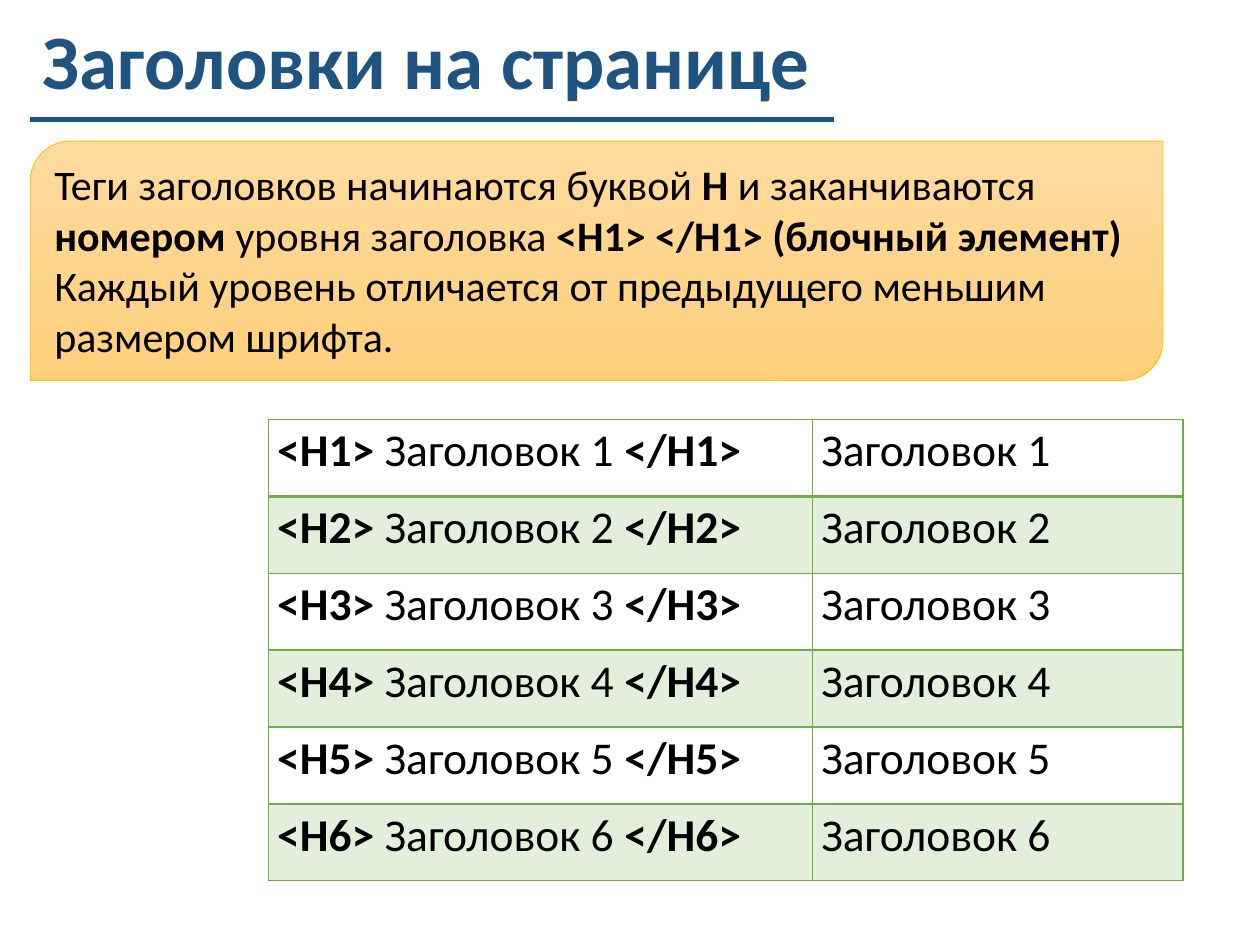
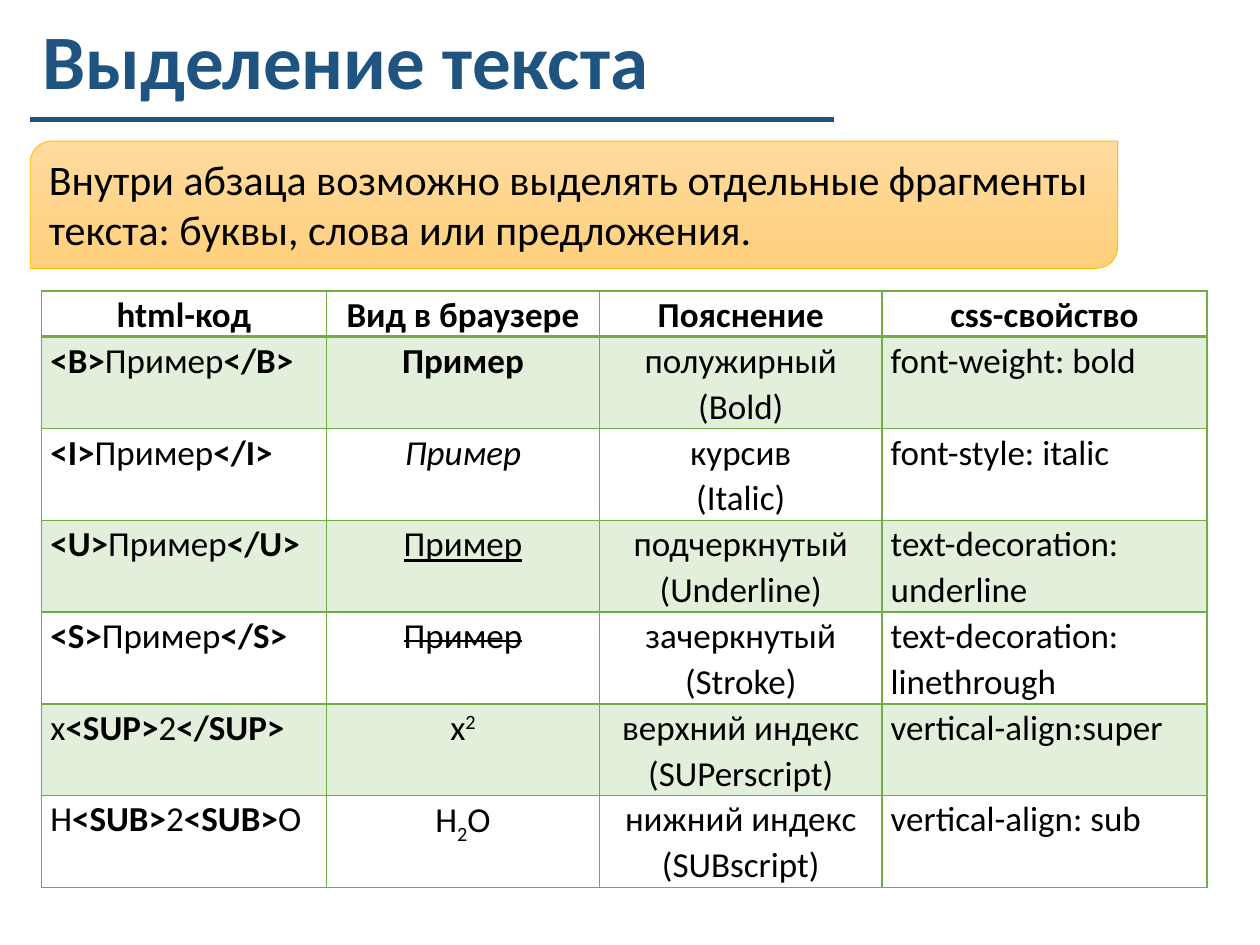
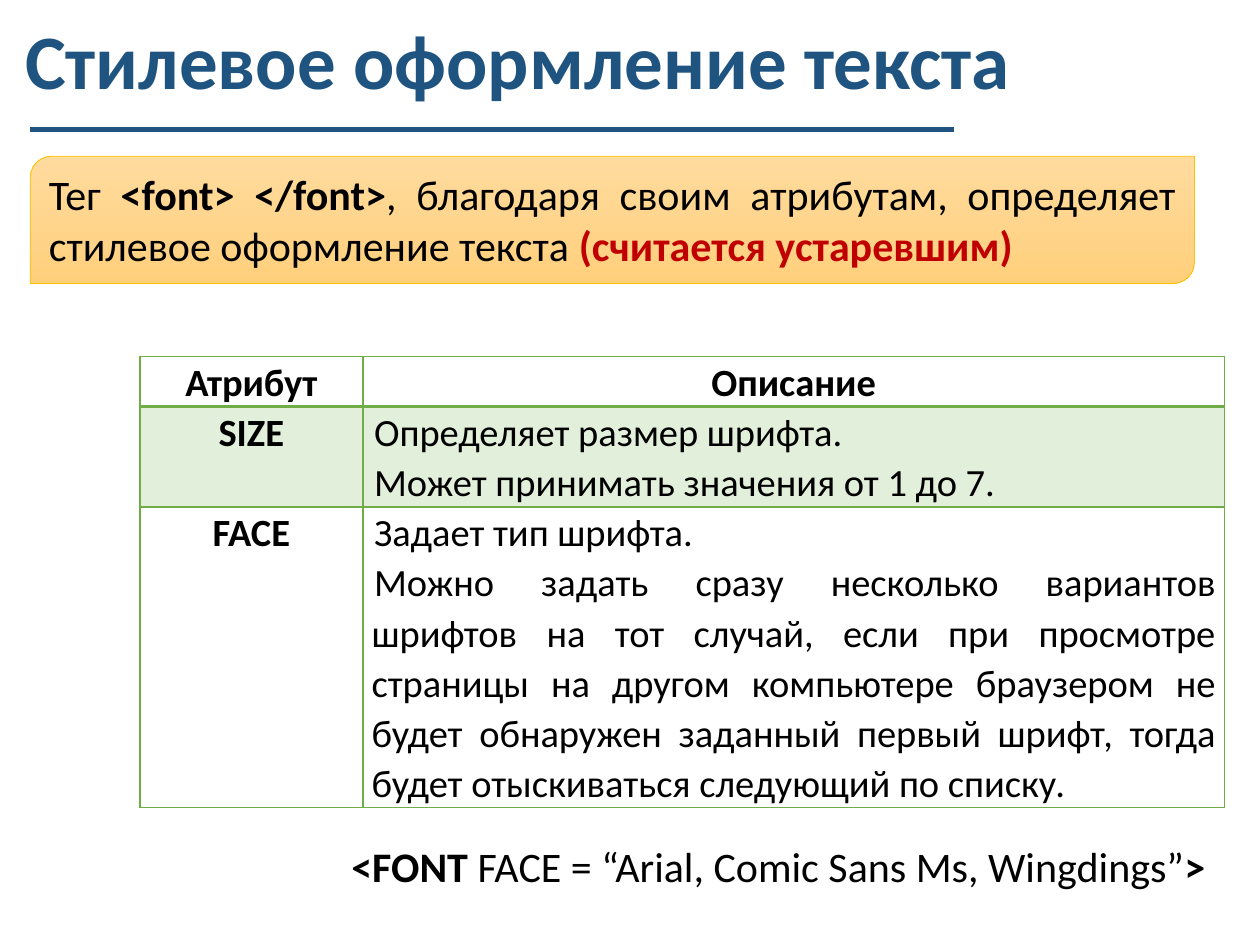
import pptx
import pptx.dml.color
import pptx.enum.shapes
import pptx.enum.text
import pptx.oxml
import pptx.oxml.ns
import pptx.util
from pptx.util import Inches, Pt

FONT = "Calibri"
BLUE, BLACK, RED = "1F5480", "000000", "C00000"
GREEN, PALE = "70AD47", "E2EFDA"
GOLD, SAND, AMBER = "FFC000", "FFDB9E", "FFD07C"

ALIGN = pptx.enum.text.PP_ALIGN
SIDES = {"l": ALIGN.LEFT, "c": ALIGN.CENTER, "j": ALIGN.JUSTIFY}
ANCHOR = pptx.enum.text.MSO_ANCHOR
MARKS = "*!%_~^|"


def color(code):
    return pptx.dml.color.RGBColor.from_string(code)


def add_run(par, text, size, mark, hue=BLACK):
    """Add one run; mark is an empty string or one of MARKS."""
    run = par.add_run()
    run.text = text
    font = run.font
    font.name, font.size = FONT, Pt(size)
    font.color.rgb = color(RED if mark == "!" else hue)
    font.bold = mark in ("*", "!")
    font.italic = mark == "%"
    font.underline = mark == "_"
    props = run._r.get_or_add_rPr()
    if mark == "~":
        props.set("strike", "sngStrike")
    elif mark == "^":
        props.set("baseline", "30000")
    elif mark == "|":
        props.set("baseline", "-25000")


def write(frame, text, size, side="l", space=None, indent=0):
    """Fill a frame, one paragraph a line.

    Paired marks style the words between them: * bold, ! bold red, % italic,
    _ underline, ~ strike, ^ superscript, | subscript.
    """
    for num, line in enumerate(text.split("\n")):
        par = frame.add_paragraph() if num else frame.paragraphs[0]
        par.alignment = SIDES[side]
        par.line_spacing = space
        if indent:
            par._p.get_or_add_pPr().set("indent", str(Inches(indent)))
        mark, words = "", ""
        for char in line:
            if char not in MARKS:
                words += char
                continue
            if words:
                add_run(par, words, size, mark)
            mark, words = "" if mark else char, ""
        if words:
            add_run(par, words, size, mark)


def add_page(deck, title, left=0.24, width=7.54, rule=0.95, end=6.62):
    """Add a slide with its title and the blue rule below."""
    page = deck.slides.add_slide(deck.slide_layouts[5])
    head = page.shapes.title
    head.left, head.top = Inches(left), Inches(0)
    head.width, head.height = Inches(width), Inches(1.03)
    frame = head.text_frame
    frame.auto_size = pptx.enum.text.MSO_AUTO_SIZE.NONE
    frame.vertical_anchor = ANCHOR.MIDDLE
    par = frame.paragraphs[0]
    par.alignment, par.line_spacing = ALIGN.LEFT, 0.9
    add_run(par, title, 44, "*", BLUE)

    line = page.shapes.add_connector(
        pptx.enum.shapes.MSO_CONNECTOR.STRAIGHT,
        Inches(0.24), Inches(rule), Inches(end), Inches(rule))
    line.line.color.rgb = color(BLUE)
    line.line.width = Pt(3)
    line._element.spPr.append(pptx.oxml.parse_xml(
        f"<a:effectLst {pptx.oxml.ns.nsdecls('a')}/>"))
    return page


def add_note(page, text, top, width, height, side="l"):
    """Add the amber box with two rounded corners."""
    box = page.shapes.add_shape(
        pptx.enum.shapes.MSO_SHAPE.ROUND_2_DIAG_RECTANGLE,
        Inches(0.24), Inches(top), Inches(width), Inches(height))
    box.shadow.inherit = False
    box.fill.gradient()
    box.fill.gradient_angle = 270
    for stop, code in zip(box.fill.gradient_stops, (SAND, AMBER)):
        stop.color.rgb = color(code)
    box.line.color.rgb = color(GOLD)
    box.line.width = Pt(0.5)
    box.text_frame.word_wrap = True
    box.text_frame.vertical_anchor = ANCHOR.TOP
    write(box.text_frame, text, 24, side)


def add_edge(cell, side, width):
    cell._tc.get_or_add_tcPr().append(pptx.oxml.parse_xml(
        f"<a:ln{side} {pptx.oxml.ns.nsdecls('a')} w='{Pt(width)}'>"
        f"<a:solidFill><a:srgbClr val='{GREEN}'/></a:solidFill></a:ln{side}>"))


def add_grid(page, rows, left, top, cols, highs, size, sides, heads=None):
    """Add a banded table; sides and heads hold one alignment letter a column."""
    grid = page.shapes.add_table(
        len(rows), len(cols), Inches(left), Inches(top),
        Inches(sum(cols)), Inches(sum(highs))).table
    grid.first_row = grid.horz_banding = False
    for col, width in zip(grid.columns, cols):
        col.width = Inches(width)
    for r, (row, high) in enumerate(zip(rows, highs)):
        grid.rows[r].height = Inches(high)
        aligns = heads if heads and r == 0 else sides
        for c, text in enumerate(row):
            cell = grid.cell(r, c)
            cell.margin_left = cell.margin_right = Inches(0.07)
            cell.margin_top = cell.margin_bottom = 0
            side = aligns[c]
            write(cell.text_frame, text, size, side, 1.07,
                  0.02 if side == "j" else 0)
            for edge in "LRTB":
                thick = (r, edge) in ((0, "B"), (1, "T"))
                add_edge(cell, edge, 2 if thick else 1)
            if r % 2:
                cell.fill.solid()
                cell.fill.fore_color.rgb = color(PALE)
            else:
                cell.fill.background()


def add_levels(deck):
    page = add_page(deck, "Заголовки на странице")
    add_note(
        page,
        "Теги заголовков начинаются буквой *H *и заканчиваются *номером* "
        "уровня заголовка *<H1> </H1> (блочный элемент)*\n"
        "Каждый уровень отличается от предыдущего меньшим размером шрифта.",
        1.12, 8.99, 1.9)
    rows = [(f"*<H{n}> *Заголовок {n} *</H{n}>*", f"Заголовок {n}")
            for n in range(1, 7)]
    add_grid(page, rows, 2.13, 3.33, (4.32, 2.94), [0.61] * 6, 26, "ll")


def add_marks(deck):
    page = add_page(deck, "Выделение текста")
    add_note(
        page,
        "Внутри абзаца возможно выделять отдельные фрагменты текста: "
        "буквы, слова или предложения.",
        1.12, 8.63, 1.01)
    rows = [("*html-код*", "*Вид в браузере*", "*Пояснение*",
             "*css-свойство*")]
    for tag, mark, name, style in (
            ("B", "*", "полужирный\n(Bold)", "font-weight: bold"),
            ("I", "%", "курсив\n(Italic)", "font-style: italic"),
            ("U", "_", "подчеркнутый\n(Underline)",
             "text-decoration: underline"),
            ("S", "~", "зачеркнутый\n(Stroke)",
             "text-decoration: linethrough")):
        rows.append((f"*<{tag}>*Пример*</{tag}>*", f"{mark}Пример{mark}",
                     name, style))
    rows += [
        ("x*<SUP>*2*</SUP>*", "x^2^", "верхний индекс\n(SUPerscript)",
         "vertical-align:super"),
        ("H*<SUB>*2*<SUB>*O", "H|2|O", "нижний индекс\n(SUBscript)",
         "vertical-align: sub")]
    add_grid(page, rows, 0.33, 2.31, (2.26, 2.17, 2.24, 2.58),
             [0.36] + [0.71] * 6, 20, "lccl", "cccc")


def add_fonts(deck):
    page = add_page(deck, "Стилевое оформление текста", 0.1, 8.06, 1.03, 7.57)
    add_note(
        page,
        "Тег *<font> </font>*, благодаря своим атрибутам, определяет "
        "стилевое оформление текста !(считается устаревшим)!",
        1.24, 9.24, 1.01, "j")
    rows = [
        ("*Атрибут*", "*Описание*"),
        ("*SIZE*", "Определяет размер шрифта.\n"
                   "Может принимать значения от 1 до 7."),
        ("*FACE*", "Задает тип шрифта.\n"
                   "Можно задать сразу несколько вариантов шрифтов на тот "
                   "случай, если при просмотре страницы на другом компьютере "
                   "браузером не будет обнаружен заданный первый шрифт, тогда "
                   "будет отыскиваться следующий по списку.")]
    add_grid(page, rows, 1.11, 2.83, (1.77, 6.84), (0.39, 0.78, 2.35),
             22, "cj", "cc")
    code = page.shapes.add_textbox(
        Inches(2.69), Inches(6.62), Inches(7.03), Inches(0.5))
    code.text_frame.word_wrap = True
    write(code.text_frame,
          "*<FONT *FACE = “Arial, Comic Sans Ms, Wingdings”*>*", 24)


def main():
    deck = pptx.Presentation()
    deck.slide_width, deck.slide_height = Inches(10), Inches(7.5)
    add_levels(deck)
    add_marks(deck)
    add_fonts(deck)
    deck.save("out.pptx")


if __name__ == "__main__":
    main()
